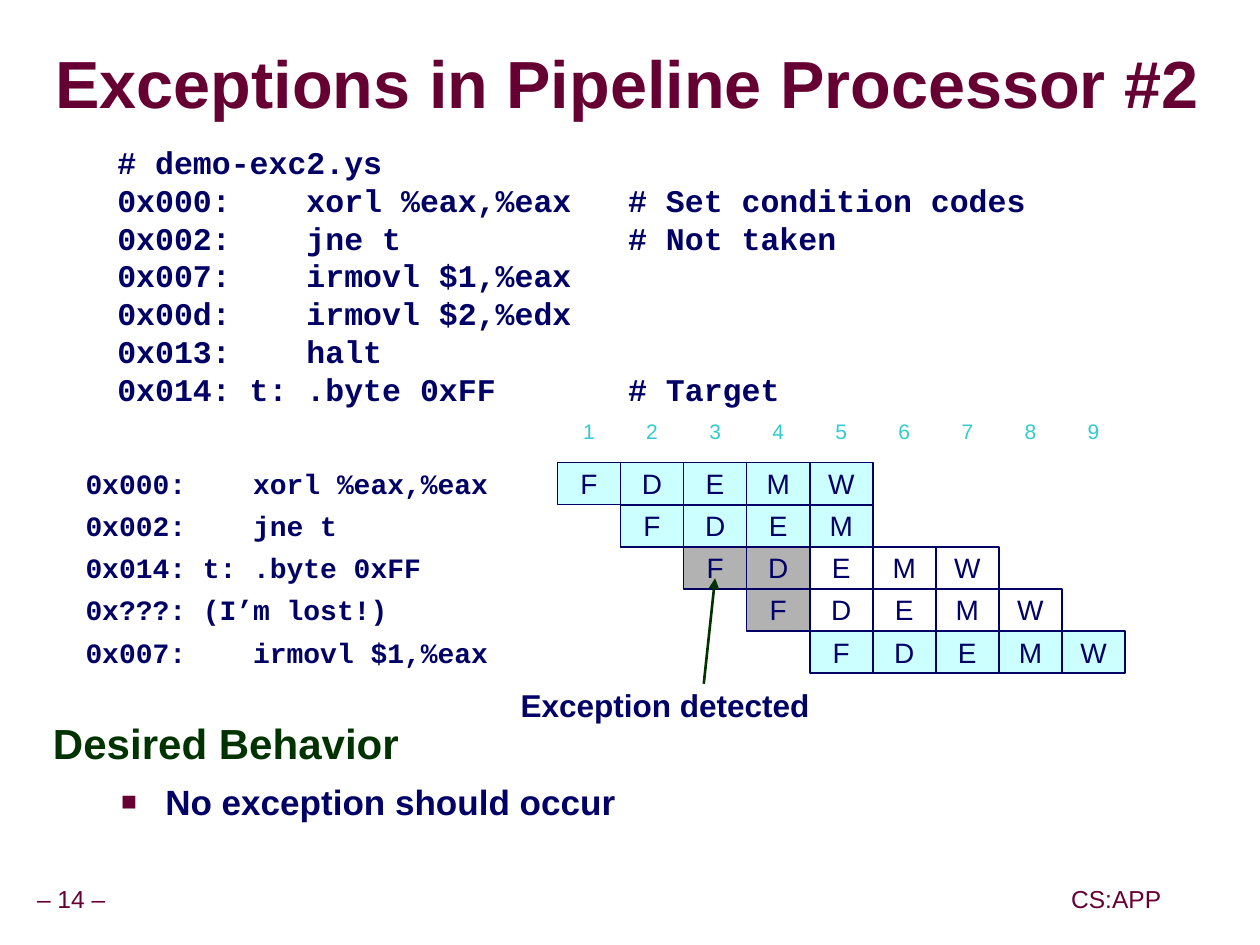
from dataclasses import dataclass

from lxml import etree
from pptx import Presentation
from pptx.dml.color import RGBColor
from pptx.enum.shapes import MSO_CONNECTOR, MSO_SHAPE
from pptx.enum.text import MSO_ANCHOR, MSO_AUTO_SIZE, PP_ALIGN
from pptx.oxml.ns import qn
from pptx.util import Inches, Pt

LEFT, MID, RIGHT = PP_ALIGN.LEFT, PP_ALIGN.CENTER, PP_ALIGN.RIGHT
TOP, CENTER = MSO_ANCHOR.TOP, MSO_ANCHOR.MIDDLE
RECT, LINE, FIXED = MSO_SHAPE.RECTANGLE, MSO_CONNECTOR.STRAIGHT, MSO_AUTO_SIZE.NONE


@dataclass(frozen=True)
class Theme:
    wine: str = "660033"
    green: str = "003300"
    navy: str = "000066"
    teal: str = "33CCCC"
    cyan: str = "CCFFFF"
    gray: str = "B2B2B2"
    white: str = "FFFFFF"
    sans: str = "Arial"
    mono: str = "Courier New"
    title: int = 38
    head: int = 24
    point: int = 20
    code: int = 18
    cell: int = 16
    foot: int = 14
    clock: int = 12


class Page:
    """Places elements on a grid of columns and rows."""
    left, col, row = 0.42, 0.5, 1 / 3

    def __init__(self, slide, theme):
        self.slide, self.theme = slide, theme

    def spot(self, x, y):
        return Inches(self.left + x * self.col), Inches(y * self.row)

    def area(self, x, y, w, h):
        return *self.spot(x, y), Inches(w * self.col), Inches(h * self.row)

    def move(self, shape, *area):
        shape.left, shape.top, shape.width, shape.height = self.area(*area)

    def style(self, par, size, color, bold=False, face=None, align=LEFT, space=1.0):
        par.alignment, par.line_spacing = align, space
        par.space_before = par.space_after = Pt(0)
        for run in par.runs:
            font = run.font
            font.name, font.size, font.bold = face or self.theme.sans, Pt(size), bold
            font.color.rgb = RGBColor.from_string(color)

    def fill(self, shape, text, size, color, pad=(0.05, 0.05), anchor=CENTER,
             wrap=False, **look):
        frame = shape.text_frame
        frame.text = text
        frame.auto_size, frame.word_wrap, frame.vertical_anchor = FIXED, wrap, anchor
        frame.margin_left = frame.margin_right = Inches(pad[0])
        frame.margin_top = frame.margin_bottom = Inches(pad[1])
        for par in frame.paragraphs:
            self.style(par, size, color, **look)

    def title(self, text, *area):
        shape = self.slide.shapes.title
        self.move(shape, *area)
        self.fill(shape, text, self.theme.title, self.theme.wine, pad=(0, 0),
                  wrap=True, bold=True, space=0.87)
        # Gray drop shadow behind the letters
        for run in shape.text_frame.paragraphs[0].runs:
            effect = etree.Element(qn("a:effectLst"))
            shade = etree.SubElement(effect, qn("a:outerShdw"), dist="38100", dir="2700000")
            etree.SubElement(shade, qn("a:srgbClr"), val="808080")
            run.font.fill._xPr.find(qn("a:solidFill")).addnext(effect)

    def body(self, head, point, *area):
        theme = self.theme
        shape = self.slide.placeholders[1]
        self.move(shape, *area)
        self.fill(shape, f"{head}\n{point}", theme.head, theme.green, pad=(0.1, 0.05),
                  anchor=TOP, wrap=True, bold=True, space=0.95)
        first, second = shape.text_frame.paragraphs
        props = first._p.get_or_add_pPr()
        props.set("marL", "0")
        props.set("indent", "0")
        etree.SubElement(props, qn("a:buNone"))
        second.level = 1
        props = second._p.get_or_add_pPr()
        props.set("marL", str(Inches(0.89)))
        props.set("indent", str(-Inches(0.35)))
        tint = etree.SubElement(props, qn("a:buClr"))
        etree.SubElement(tint, qn("a:srgbClr"), val=theme.wine)
        etree.SubElement(props, qn("a:buSzPct"), val="75000")
        etree.SubElement(props, qn("a:buFont"), typeface=theme.sans)
        etree.SubElement(props, qn("a:buChar"), char="■")
        self.style(second, theme.point, theme.navy, bold=True)
        second.space_before = Pt(6.2)

    def text(self, text, area, size, color, **look):
        self.fill(self.slide.shapes.add_textbox(*self.area(*area)), text, size, color, **look)

    def box(self, text, area, size, color, back, edge=None, **look):
        shape = self.slide.shapes.add_shape(RECT, *self.area(*area))
        shape.shadow.inherit = False
        shape.fill.solid()
        shape.fill.fore_color.rgb = RGBColor.from_string(back)
        if edge:
            shape.line.color.rgb = RGBColor.from_string(edge)
            shape.line.width = Pt(1)
        else:
            shape.line.fill.background()
        self.fill(shape, text, size, color, pad=(0.1, 0.05), **look)

    def arrow(self, start, end, color):
        line = self.slide.shapes.add_connector(LINE, *self.spot(*start), *self.spot(*end))
        line.line.color.rgb = RGBColor.from_string(color)
        line.line.width = Pt(1.5)
        etree.SubElement(line.line._get_or_add_ln(), qn("a:tailEnd"), type="triangle")
        etree.SubElement(line._element.spPr, qn("a:effectLst"))


CODE = """\
  # demo-exc2.ys
  0x000:    xorl %eax,%eax   # Set condition codes
  0x002:    jne t            # Not taken
  0x007:    irmovl $1,%eax
  0x00d:    irmovl $2,%edx
  0x013:    halt
  0x014: t: .byte 0xFF       # Target"""


def main():
    deck = Presentation()
    deck.slide_width, deck.slide_height = Inches(9.99), Inches(7.49)
    theme = Theme()
    page = Page(deck.slides.add_slide(deck.slide_layouts[1]), theme)

    # Title, program and conclusion
    page.title("Exceptions in Pipeline Processor #2", 0.04, 0.8, 19.04, 2.55)
    page.body("Desired Behavior", "No exception should occur", -0.2, 17, 18.14, 3.87)
    page.text(CODE, (0.32, 3.25, 17.84, 6.6), theme.code, theme.navy,
              anchor=TOP, wrap=True, bold=True, face=theme.mono)

    # Clock cycles above the pipeline
    first, top = 8, 11
    for step in range(9):
        page.box(str(step + 1), (first + step, top - 1.25, 1, 1), theme.clock,
                 theme.teal, theme.white, align=MID)

    # Pipeline: instruction, stages, grayed stages, fill of the others
    flow = [
        ("0x000:    xorl %eax,%eax", "FDEMW", 0, theme.cyan),
        ("0x002:    jne t", "FDEM", 0, theme.cyan),
        ("0x014: t: .byte 0xFF", "FDEMW", 2, theme.white),
        ("0x???: (I’m lost!)", "FDEMW", 1, theme.white),
        ("0x007:    irmovl $1,%eax", "FDEMW", 0, theme.cyan),
    ]
    for lag, (code, stages, dead, back) in enumerate(flow):
        page.box(code, (0.32, top + lag, 5.66, 1), theme.cell, theme.navy,
                 theme.white, bold=True, face=theme.mono)
        for step, stage in enumerate(stages):
            page.box(stage, (first + lag + step, top + lag, 1, 1), theme.cell, theme.navy,
                     theme.gray if step < dead else back, edge=theme.navy, align=MID)

    # Callout
    page.arrow((10.32, 16.26), (10.5, 13.75), theme.green)
    page.text("Exception detected", (7.32, 16.26, 4.78, 1.11), theme.code, theme.navy,
              anchor=TOP, bold=True, align=RIGHT, space=0.9)

    # Footer
    for note, x, width in (("– 14 –", -1.02, 2.62), ("CS:APP", 16.04, 1.64)):
        page.text(note, (x, 20.95, width, 0.93), theme.foot, theme.wine,
                  align=MID, space=0.9)

    deck.save("out.pptx")


if __name__ == "__main__":
    main()
